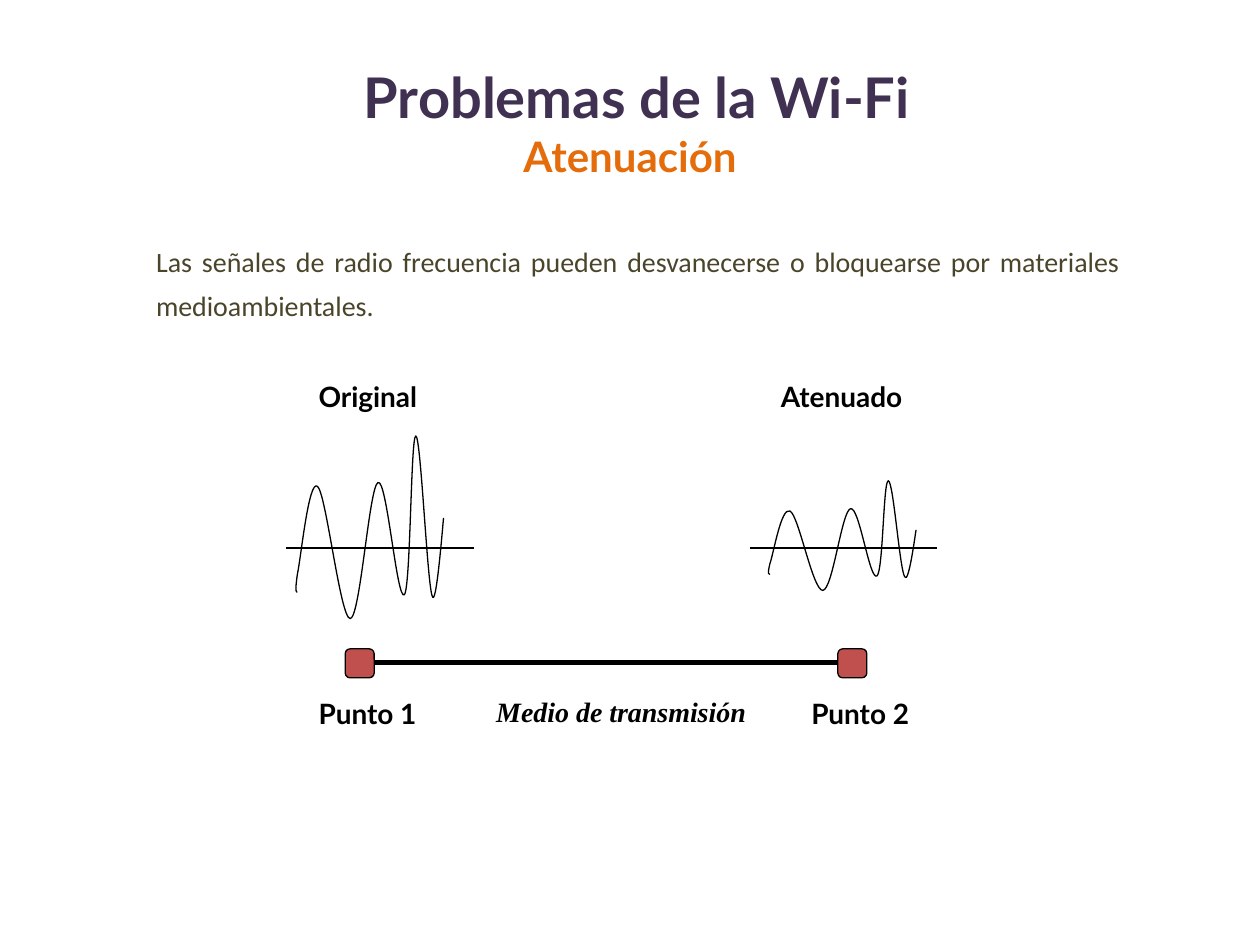
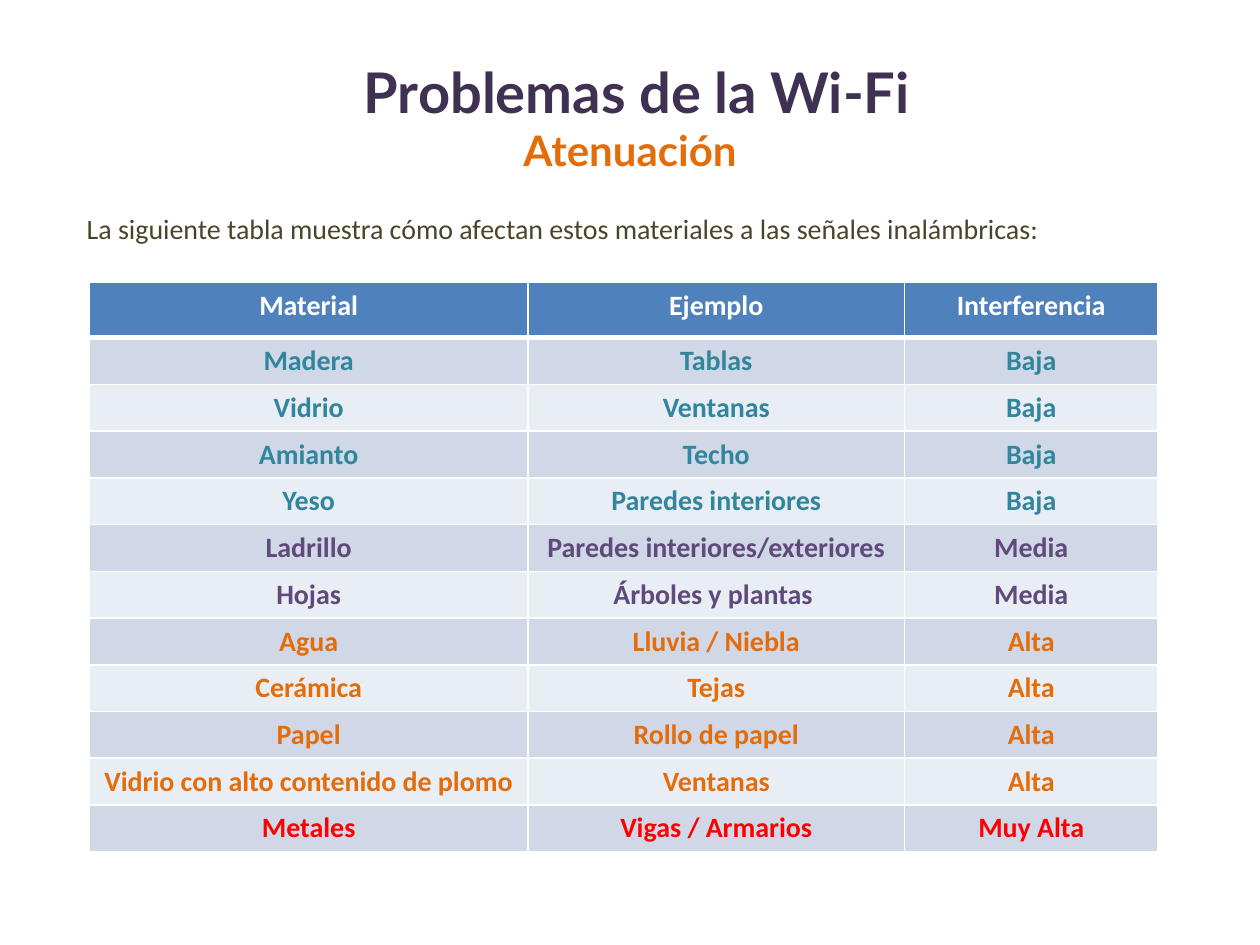
import dataclasses

import lxml.etree
import pptx
import pptx.dml.color
import pptx.enum.shapes
import pptx.enum.text
import pptx.oxml.ns
import pptx.util

Inches = pptx.util.Inches
Pt = pptx.util.Pt
Align = pptx.enum.text.PP_ALIGN
qn = pptx.oxml.ns.qn


@dataclasses.dataclass(frozen=True)
class Theme:
    """Colours, fonts and type sizes of the presentation."""
    lead: str = "3333CC"
    title: str = "403152"
    accent: str = "E46C0A"
    body: str = "4A452A"
    black: str = "000000"
    white: str = "FFFFFF"
    node: str = "C0504D"
    header: str = "4F81BD"
    bands: tuple = ("D0D8E8", "E9EDF4")
    low: str = "31859C"
    medium: str = "604A7B"
    very_high: str = "FF0000"
    heading_font: str = "Lato"
    body_font: str = "Calibri"
    caption_font: str = "Times New Roman"
    title_size: int = 32
    subtitle_size: int = 24
    text_size: int = 16


theme = Theme()
rgb = pptx.dml.color.RGBColor.from_string


def add_run(paragraph, text, color, font=theme.body_font, size=theme.text_size, bold=False):
    """Append one formatted run to a paragraph and return it."""
    run = paragraph.add_run()
    run.text = text
    run.font.name = font
    run.font.size = Pt(size)
    run.font.bold = bold
    run.font.color.rgb = rgb(color)
    return run


def add_text_box(slide, left, top, width, height):
    """Add a wrapping text box and return its text frame."""
    frame = slide.shapes.add_textbox(
        Inches(left), Inches(top), Inches(width), Inches(height)).text_frame
    frame.word_wrap = True
    return frame


presentation = pptx.Presentation()
presentation.slide_width = Inches(10)
presentation.slide_height = Inches(7.5)

# Shared parts: title, subtitle and introduction
pages = [
    (0.34, (1.14, 1.81, 7.95, 1.15),
     "Las señales de radio frecuencia pueden desvanecerse o bloquearse "
     "por materiales medioambientales."),
    (0.3, (0.59, 1.55, 8.23, 0.57),
     "La siguiente tabla muestra cómo afectan estos materiales "
     "a las señales inalámbricas:"),
]
slides = []
for title_top, intro_box, intro in pages:
    slide = presentation.slides.add_slide(presentation.slide_layouts[6])
    slides.append(slide)

    frame = add_text_box(slide, 0.1, title_top, 9.8, 1.25)
    frame.vertical_anchor = pptx.enum.text.MSO_ANCHOR.MIDDLE
    title = frame.paragraphs[0]
    subtitle = frame.add_paragraph()
    title.alignment = subtitle.alignment = Align.CENTER
    add_run(title, " ", theme.lead, theme.heading_font, theme.title_size)
    add_run(title, "Problemas de la Wi-Fi", theme.title,
            theme.heading_font, theme.title_size, True)
    add_run(subtitle, "Atenuación", theme.accent,
            theme.heading_font, theme.subtitle_size, True)

    frame = add_text_box(slide, *intro_box)
    frame.margin_right = Inches(0.2)
    paragraph = frame.paragraphs[0]
    paragraph.alignment = Align.JUSTIFY
    paragraph.line_spacing = Pt(25)
    add_run(paragraph, intro, theme.body)

signal_slide, table_slide = slides

# Slide 1: the same wave before and after attenuation.
# After the start, each row holds control 1, control 2 and end of one curve.
axis_y = 4.35
wave_points = [
    (2.36, 4.7),
    (2.35, 4.7), (2.34, 4.7), (2.36, 4.56),
    (2.39, 4.42), (2.45, 3.8), (2.52, 3.86),
    (2.59, 3.92), (2.7, 4.91), (2.78, 4.91),
    (2.86, 4.9), (2.93, 3.86), (3, 3.83),
    (3.07, 3.79), (3.15, 4.78), (3.21, 4.72),
    (3.26, 4.65), (3.26, 3.46), (3.3, 3.46),
    (3.34, 3.46), (3.39, 4.62), (3.43, 4.73),
    (3.46, 4.84), (3.51, 4.22), (3.52, 4.11),
]
lines = []
for shift, amplitude, axis_left in [(0, 1, 2.27), (3.75, 0.6, 5.95)]:
    points = [(Inches(x + shift), Inches(axis_y + (y - axis_y) * amplitude))
              for x, y in wave_points]
    builder = signal_slide.shapes.build_freeform(*points[0])
    builder.add_line_segments(points[1:], close=False)
    wave = builder.convert_to_shape()
    # Join every three straight segments into one Bezier curve
    segments = list(wave._element.iter(qn("a:lnTo")))
    for first, second, third in zip(segments[::3], segments[1::3], segments[2::3]):
        outline = first.getparent()
        curve = lxml.etree.SubElement(outline, qn("a:cubicBezTo"))
        for segment in (first, second, third):
            curve.append(segment[0])
            outline.remove(segment)
    wave.shadow.inherit = False
    wave.fill.solid()
    wave.fill.fore_color.rgb = rgb(theme.white)
    wave.line.color.rgb = rgb(theme.black)
    wave.line.width = Pt(0.75)
    lines.append((axis_left, axis_left + 1.49, axis_y, 0.75))

for node_left in (2.74, 6.65):
    node = signal_slide.shapes.add_shape(
        pptx.enum.shapes.MSO_SHAPE.ROUNDED_RECTANGLE,
        Inches(node_left), Inches(5.15), Inches(0.23), Inches(0.23))
    node.shadow.inherit = False
    node.fill.solid()
    node.fill.fore_color.rgb = rgb(theme.node)
    node.line.color.rgb = rgb(theme.black)
    node.line.width = Pt(0.75)

lines.append((2.98, 6.65, 5.26, 3))
for left, right, y, weight in lines:
    line = signal_slide.shapes.add_connector(
        pptx.enum.shapes.MSO_CONNECTOR.STRAIGHT,
        Inches(left), Inches(y), Inches(right), Inches(y))
    line.line.color.rgb = rgb(theme.black)
    line.line.width = Pt(weight)
    lxml.etree.SubElement(line._element.spPr, qn("a:effectLst"))

labels = [
    ("Original", 2.43, 2.96, 1.09, theme.heading_font),
    ("Atenuado", 6.1, 2.96, 1.33, theme.heading_font),
    ("Punto 1", 2.43, 5.48, 1.09, theme.heading_font),
    ("Punto 2", 6.34, 5.48, 1.09, theme.heading_font),
    ("Medio de transmisión", 3.84, 5.46, 2.73, theme.caption_font),
]
for text, left, top, width, font in labels:
    frame = add_text_box(signal_slide, left, top, width, 0.37)
    frame.auto_size = pptx.enum.text.MSO_AUTO_SIZE.SHAPE_TO_FIT_TEXT
    run = add_run(frame.paragraphs[0], text, theme.black, font, bold=True)
    run.font.italic = font == theme.caption_font

# Slide 2: interference by material
level_colors = {
    "Interferencia": theme.white,
    "Baja": theme.low,
    "Media": theme.medium,
    "Alta": theme.accent,
    "Muy Alta": theme.very_high,
}
rows = [
    ("Material", "Ejemplo", "Interferencia"),
    ("Madera", "Tablas", "Baja"),
    ("Vidrio", "Ventanas", "Baja"),
    ("Amianto", "Techo", "Baja"),
    ("Yeso", "Paredes interiores", "Baja"),
    ("Ladrillo", "Paredes interiores/exteriores", "Media"),
    ("Hojas", "Árboles y plantas ", "Media"),
    ("Agua", "Lluvia / Niebla", "Alta"),
    ("Cerámica", "Tejas", "Alta"),
    ("Papel", "Rollo de papel", "Alta"),
    ("Vidrio con alto contenido de plomo", "Ventanas", "Alta"),
    ("Metales", "Vigas / Armarios", "Muy Alta"),
]
column_widths = (3.48, 2.99, 2.01)
table_height, header_height = 4.52, 0.44
row_height = (table_height - header_height) / (len(rows) - 1)
table = table_slide.shapes.add_table(
    len(rows), len(column_widths), Inches(0.71), Inches(2.24),
    Inches(sum(column_widths)), Inches(table_height)).table
table.first_row = False
table.horz_banding = False
for column, width in zip(table.columns, column_widths):
    column.width = Inches(width)

for row_index, values in enumerate(rows):
    is_header = row_index == 0
    table.rows[row_index].height = Inches(header_height if is_header else row_height)
    fill_color = theme.header if is_header else theme.bands[(row_index - 1) % 2]
    for column_index, text in enumerate(values):
        cell = table.cell(row_index, column_index)
        properties = cell._tc.get_or_add_tcPr()
        for side in ("lnL", "lnR", "lnT", "lnB"):
            thick = (side, row_index) in (("lnB", 0), ("lnT", 1))
            border = lxml.etree.SubElement(
                properties, qn("a:" + side), w=str(Pt(3 if thick else 1)))
            border_fill = lxml.etree.SubElement(border, qn("a:solidFill"))
            lxml.etree.SubElement(border_fill, qn("a:srgbClr"), val=theme.white)
        cell.fill.solid()
        cell.fill.fore_color.rgb = rgb(fill_color)
        paragraph = cell.text_frame.paragraphs[0]
        paragraph.alignment = Align.CENTER
        add_run(paragraph, text, level_colors[values[-1]], bold=True)

presentation.save("out.pptx")
